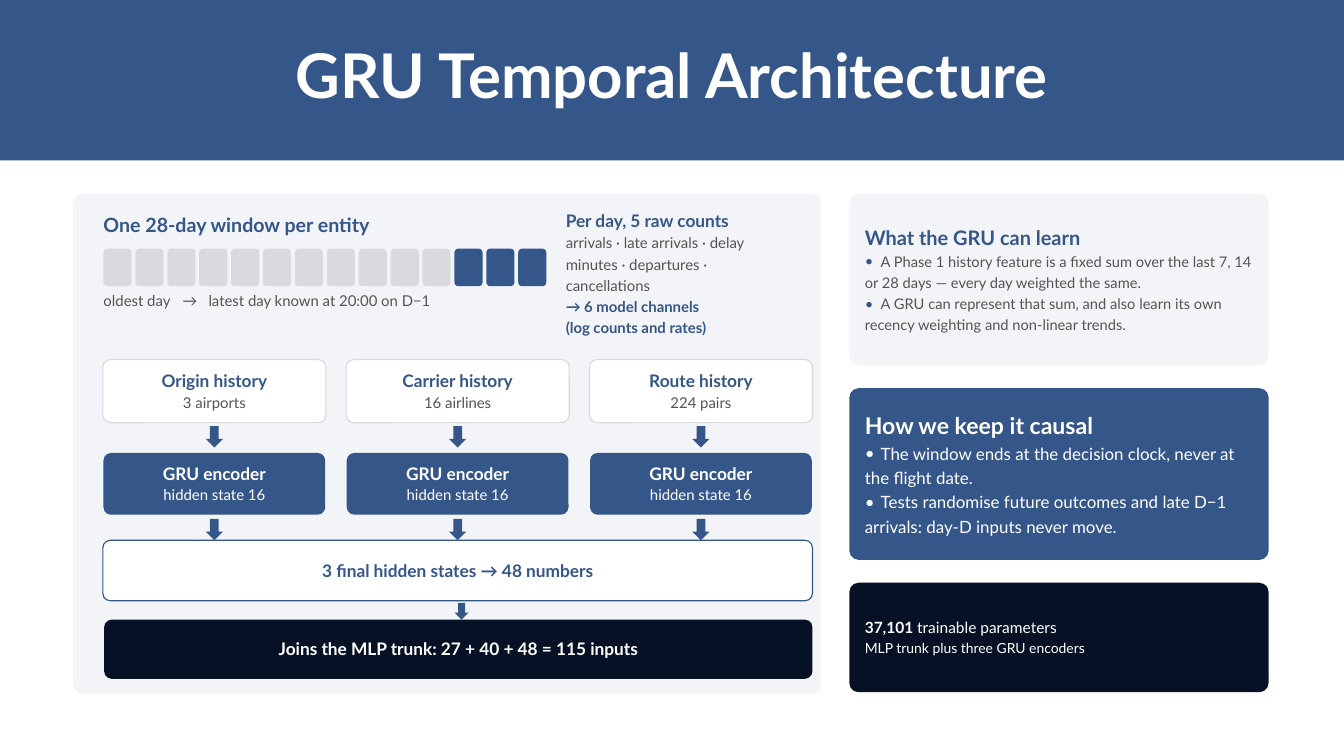
from pptx import Presentation
from pptx.dml.color import RGBColor
from pptx.enum.shapes import MSO_SHAPE as SHAPE
from pptx.enum.text import MSO_ANCHOR as ANCHOR, PP_ALIGN as ALIGN
from pptx.oxml.ns import qn
from pptx.util import Pt
from lxml.etree import SubElement

FONT = "Lato"
BLUE = RGBColor(0x35, 0x56, 0x88)
NAVY = RGBColor(0x07, 0x11, 0x25)
PALE = RGBColor(0xF3, 0xF4, 0xF7)
SILVER = RGBColor(0xD8, 0xDA, 0xE0)
GREY = RGBColor(0x54, 0x54, 0x54)
WHITE = RGBColor(0xFF, 0xFF, 0xFF)

HEADERS = [("Origin history", "3 airports"), ("Carrier history", "16 airlines"),
           ("Route history", "224 pairs")]
DAYS, RECENT_DAYS = 14, 3
CAPTION_TABS = (84.6, 112.5)
BULLET_GAP = 17


def add_block(slide, kind, box, fill, line=None, radius=None):
    sp = slide.shapes.add_shape(kind, *map(Pt, box))
    sp.shadow.inherit = False
    sp.fill.solid()
    sp.fill.fore_color.rgb = fill
    if line is None:
        sp.line.fill.background()
    else:
        sp.line.color.rgb = line
        sp.line.width = Pt(1.25)
    if radius:
        sp.adjustments[0] = radius / min(box[2:])
    return sp


def add_tabs(p, stops):
    tabs = SubElement(p._p.get_or_add_pPr(), qn("a:tabLst"))
    for stop in stops:
        SubElement(tabs, qn("a:tab"), pos=str(Pt(stop)), algn="l")


def add_bullet(p, color):
    pPr = p._p.get_or_add_pPr()
    pPr.set("marL", "0")
    pPr.set("indent", "0")
    clr = SubElement(pPr, qn("a:buClr"))
    SubElement(clr, qn("a:srgbClr"), val=str(color))
    SubElement(pPr, qn("a:buFont"), typeface=FONT)
    SubElement(pPr, qn("a:buChar"), char="•")
    add_tabs(p, [BULLET_GAP])


def write(tf, lines, align=ALIGN.LEFT, bullet=None, tabs=()):
    """Fill tf with (spacing, size, runs) lines; each run is (text, colour, bold).

    With a bullet colour, every line after the first is a bullet point.
    """
    tf.word_wrap = True
    for i, (spacing, size, runs) in enumerate(lines):
        p = tf.add_paragraph() if i else tf.paragraphs[0]
        p.alignment = align
        p.line_spacing = Pt(spacing)
        if bullet and i:
            add_bullet(p, bullet)
            runs = [("\t" + runs[0][0], *runs[0][1:])]
        elif tabs:
            add_tabs(p, tabs)
        for text, color, bold in runs:
            r = p.add_run()
            r.text = text
            r.font.name, r.font.size, r.font.bold = FONT, Pt(size), bold
            r.font.color.rgb = color


def add_text(slide, box, lines, **options):
    tf = slide.shapes.add_textbox(*map(Pt, box)).text_frame
    tf.margin_left = tf.margin_top = tf.margin_right = tf.margin_bottom = 0
    write(tf, lines, **options)


def add_card(slide, box, fill, lines, line=None, radius=8, inset=4.3, **options):
    """Rounded box whose text sits slightly above the middle."""
    tf = add_block(slide, SHAPE.ROUNDED_RECTANGLE, box, fill, line, radius).text_frame
    tf.vertical_anchor = ANCHOR.MIDDLE
    tf.margin_left = tf.margin_right = Pt(inset)
    tf.margin_top, tf.margin_bottom = Pt(inset - 1.5), Pt(inset + 1.5)
    write(tf, lines, **options)


def add_arrow(slide, center, top, w=18.7, h=23):
    add_block(slide, SHAPE.DOWN_ARROW, (center - w / 2, top, w, h), BLUE)


def title_band(slide, box):
    x, y, w, h = box
    add_block(slide, SHAPE.RECTANGLE, box, BLUE)
    add_text(slide, (x + 80.6, y + 33.1, w - 161.2, 103.7),
             [(85.5, 66, [("GRU Temporal Architecture", WHITE, True)])],
             align=ALIGN.CENTER)


def day_window(slide, box):
    x, y, w, h = box
    add_text(slide, (x, y, w, 41),
             [(30.7, 21, [("One 28-day window per entity", BLUE, True)])])
    cell_w, cell_h = 30.2, 40.3
    pitch = (w - cell_w) / (DAYS - 1)
    for i in range(DAYS):
        add_block(slide, SHAPE.ROUNDED_RECTANGLE, (x + i * pitch, y + 43.9, cell_w, cell_h),
                  BLUE if i >= DAYS - RECENT_DAYS else SILVER, radius=4.3)
    add_text(slide, (x, y + 85.7, w, 33), [
        (23.4, 16, [("oldest day\t→\tlatest day known at 20:00 on D−1", GREY, False)])],
        tabs=CAPTION_TABS)


def encoder_column(slide, box, name, count):
    x, y, w, h = box
    center = x + w / 2
    add_card(slide, (x, y, w, 67.7), WHITE, [
        (24.4, 18.5, [(name, BLUE, True)]), (21.5, 16, [(count, GREY, False)])],
        line=SILVER, align=ALIGN.CENTER)
    add_arrow(slide, center, y + 71.3)
    add_card(slide, (x + 0.7, y + 100.1, w - 1.4, 66.2), BLUE, [
        (24.4, 18.5, [("GRU encoder", WHITE, True)]),
        (21.5, 16, [("hidden state 16", WHITE, False)])], align=ALIGN.CENTER)
    add_arrow(slide, center, y + h - 23)


def architecture_panel(slide, box):
    x, y, w, h = box
    add_block(slide, SHAPE.ROUNDED_RECTANGLE, box, PALE, radius=10)
    day_window(slide, (x + 32.4, y + 15.1, 474.5, 119))
    add_text(slide, (x + 527.7, y + 15.1, 244.8, 147.6), [
        (24.9, 18.5, [("Per day, 5 raw counts", BLUE, True)]),
        (22.6, 16, [("arrivals · late arrivals · delay minutes · departures · cancellations",
                     GREY, False)]),
        (22.6, 16, [("→ 6 model channels", BLUE, True)]),
        (22.6, 16, [("(log counts and rates)", BLUE, True)])])

    left, flow_w, col_w = x + 31.7, 760.3, 239
    pitch = (flow_w - col_w) / (len(HEADERS) - 1)
    for i, header in enumerate(HEADERS):
        encoder_column(slide, (left + i * pitch, y + 177.8, col_w, 193.7), *header)
    add_card(slide, (left, y + 371.5, flow_w, 64.8), WHITE,
             [(24.4, 18.5, [("3 final hidden states → 48 numbers", BLUE, True)])],
             line=BLUE, align=ALIGN.CENTER)
    add_arrow(slide, x + 416, y + 438.5, 15, 18)
    add_card(slide, (left + 1.4, y + 456.5, flow_w - 1.4, 63.4), NAVY, [
        (24.4, 18.5, [("Joins the MLP trunk: 27 + 40 + 48 = 115 inputs", WHITE, True)])],
        align=ALIGN.CENTER)


def notes_column(slide, box):
    x, y, w, h = box
    card_h, pitch, style = 184, 208.5, {"radius": 10, "inset": 13.7}
    add_card(slide, (x, y, w, card_h), PALE, [
        (28.2, 21.4, [("What the GRU can learn", BLUE, True)]),
        (22.6, 15.7, [("A Phase 1 history feature is a fixed sum over the last 7, 14 "
                       "or 28 days — every day weighted the same.", GREY, False)]),
        (22.6, 15.7, [("A GRU can represent that sum, and also learn its own "
                       "recency weighting and non-linear trends.", GREY, False)])],
        bullet=BLUE, **style)
    add_card(slide, (x, y + pitch, w, card_h), BLUE, [
        (32.6, 24.7, [("How we keep it causal", WHITE, True)]),
        (26.1, 18.1, [("The window ends at the decision clock, never at "
                       "the flight date.", WHITE, False)]),
        (26.1, 18.1, [("Tests randomise future outcomes and late D−1 "
                       "arrivals: day-D inputs never move.", WHITE, False)])],
        bullet=WHITE, **style)
    add_card(slide, (x, y + 2 * pitch, w, h - 2 * pitch), NAVY, [
        (22.3, 16.6, [("37,101", WHITE, True), (" trainable parameters", WHITE, False)]),
        (20.7, 14.9, [("MLP trunk plus three GRU encoders", WHITE, False)])], **style)


def main():
    prs = Presentation()
    prs.slide_width, prs.slide_height = Pt(1440), Pt(810)
    slide = prs.slides.add_slide(prs.slide_layouts[6])
    title_band(slide, (0, 0, 1440, 172))
    architecture_panel(slide, (78.5, 207.4, 801.4, 535.7))
    notes_column(slide, (910, 207.4, 449.3, 534.3))
    prs.save("out.pptx")


if __name__ == "__main__":
    main()
